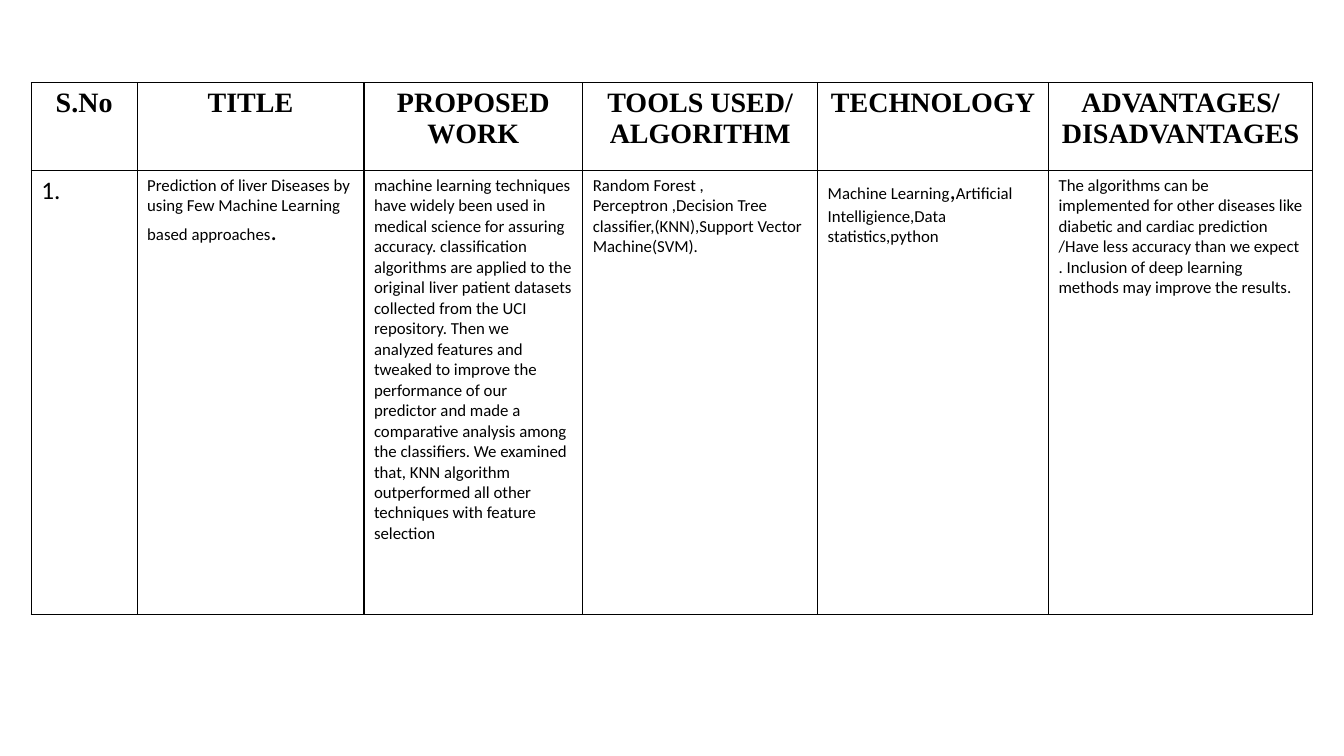
"""Build a literature survey slide with one bordered table."""
from lxml.etree import SubElement
from pptx import Presentation
from pptx.dml.color import RGBColor
from pptx.enum.text import PP_ALIGN as Align
from pptx.oxml.ns import qn
from pptx.util import Inches, Pt

BLACK = RGBColor(0, 0, 0)
COLUMN_WIDTHS = [1.05, 2.25, 2.17, 2.33, 2.29, 2.62]
ROW_HEIGHTS = [0.87, 4.41]
HEADINGS = ["S.No", "TITLE", "PROPOSED WORK", "TOOLS USED/\nALGORITHM",
            "TECHNOLOGY", "ADVANTAGES/ DISADVANTAGES"]
ENTRIES = [
    [("1.", 18)],
    [("Prediction of liver Diseases by using Few Machine Learning based "
      "approaches", 12), (".", 18)],
    [("machine learning techniques have widely been used in medical science "
      "for assuring accuracy. classification algorithms are applied to the "
      "original liver patient datasets collected from the UCI repository. "
      "Then we analyzed features and tweaked to improve the performance of "
      "our predictor and made a comparative analysis among the classifiers. "
      "We examined that, KNN algorithm outperformed all other techniques "
      "with feature selection", 12)],
    [("Random Forest , Perceptron\u00a0,Decision Tree classifier,(KNN),Support "
      "Vector Machine(SVM).", 12)],
    [("Machine Learning", 12), (",", 18),
     ("Artificial Intelligience,Data statistics,python", 12)],
    [("The algorithms can be implemented for other diseases like diabetic "
      "and cardiac prediction /Have less accuracy than we expect . Inclusion "
      "of deep learning methods may improve the results.", 12)],
]


def add_borders(cell):
    properties = cell._tc.get_or_add_tcPr()
    for position, side in enumerate(("lnL", "lnR", "lnT", "lnB")):
        line = SubElement(properties, qn(f"a:{side}"), w=str(Pt(1)))
        fill = SubElement(line, qn("a:solidFill"))
        SubElement(fill, qn("a:srgbClr"), val=str(BLACK))
        properties.insert(position, line)


deck = Presentation()
deck.slide_width, deck.slide_height = Inches(13.33), Inches(7.5)
page = deck.slides.add_slide(deck.slide_layouts[6])

survey = page.shapes.add_table(
    len(ROW_HEIGHTS), len(COLUMN_WIDTHS), Inches(0.31), Inches(0.82),
    Inches(sum(COLUMN_WIDTHS)), Inches(sum(ROW_HEIGHTS))).table
survey.first_row = survey.horz_banding = False
for column, width in zip(survey.columns, COLUMN_WIDTHS):
    column.width = Inches(width)
for row, height in zip(survey.rows, ROW_HEIGHTS):
    row.height = Inches(height)

for cell in survey.iter_cells():
    cell.fill.background()
    add_borders(cell)

for cell, heading in zip(survey.rows[0].cells, HEADINGS):
    cell.text = heading
    for para in cell.text_frame.paragraphs:
        para.alignment = Align.CENTER
        para.font.name, para.font.size = "Times New Roman", Pt(20)
        para.font.bold = True
        para.font.color.rgb = BLACK

for cell, spans in zip(survey.rows[1].cells, ENTRIES):
    para = cell.text_frame.paragraphs[0]
    para.font.name = "Calibri"
    para.font.color.rgb = BLACK
    for text, size in spans:
        span = para.add_run()
        span.text = text
        span.font.size = Pt(size)

deck.save("out.pptx")
